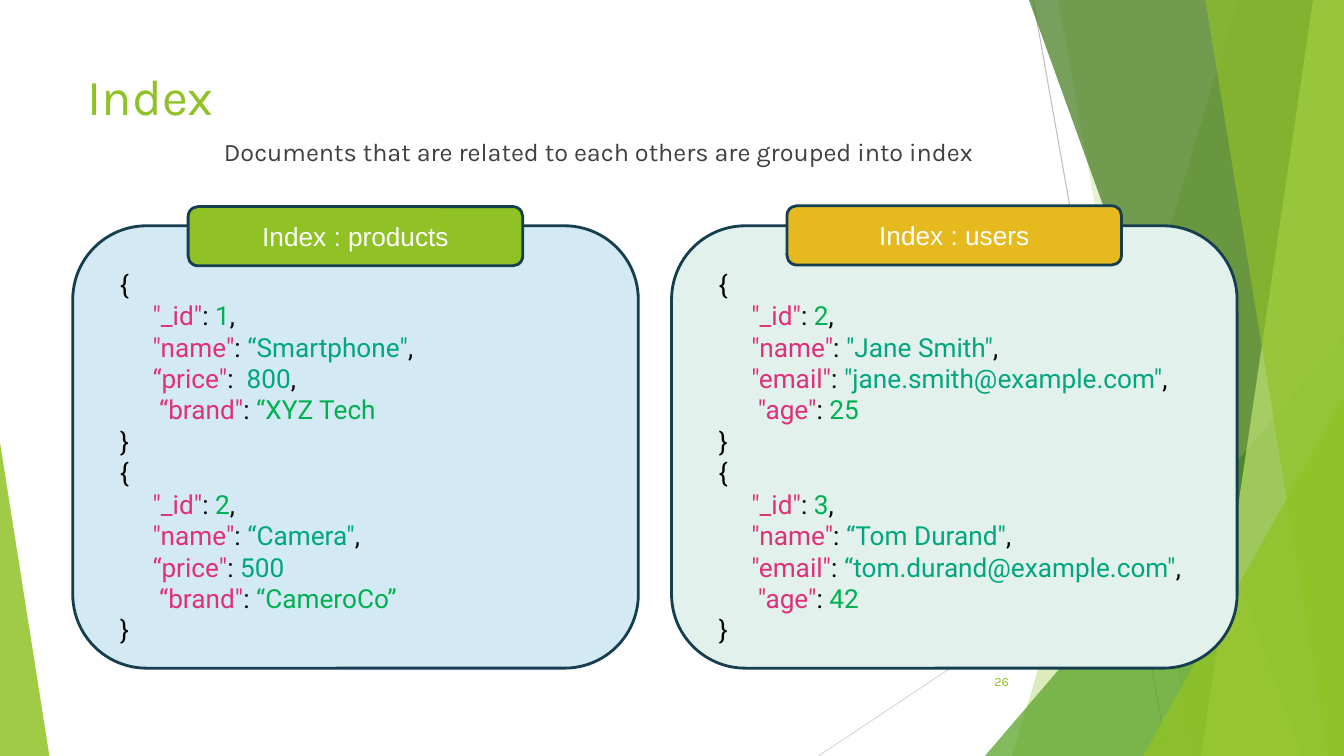
from lxml.etree import SubElement
from pptx import Presentation
from pptx.dml.color import RGBColor
from pptx.enum.shapes import MSO_CONNECTOR, MSO_SHAPE
from pptx.enum.text import MSO_ANCHOR, PP_ALIGN
from pptx.oxml.ns import qn
from pptx.util import Pt

GREEN = RGBColor(0x90, 0xC2, 0x26)
MID_GREEN = RGBColor(0x54, 0xA0, 0x21)
DARK_GREEN = RGBColor(0x3F, 0x78, 0x19)
PALE_GREEN = RGBColor(0xC0, 0xE4, 0x74)
GOLD = RGBColor(0xE6, 0xB9, 0x1E)
NAVY = RGBColor(0x15, 0x3E, 0x4E)
LIGHT_BLUE = RGBColor(0xD3, 0xE9, 0xF3)
LIGHT_MINT = RGBColor(0xE2, 0xF1, 0xEC)
GRAY = RGBColor(0x40, 0x40, 0x40)
LINE_GRAY = RGBColor(0xBF, 0xBF, 0xBF)
LIGHT_GRAY = RGBColor(0xD9, 0xD9, 0xD9)
BLACK = RGBColor(0, 0, 0)
WHITE = RGBColor(0xFF, 0xFF, 0xFF)
KEY_PINK = RGBColor(0xDF, 0x30, 0x79)
VALUE_GREEN = RGBColor(0x00, 0xB0, 0x50)
VALUE_TEAL = RGBColor(0x00, 0xA6, 0x7D)

W, H = 960, 540

prs = Presentation()
prs.slide_width, prs.slide_height = Pt(W), Pt(H)
s = prs.slides.add_slide(prs.slide_layouts[5])


def set_text(sp, text, size, font, color, align=PP_ALIGN.LEFT, anchor=MSO_ANCHOR.TOP, inset=9.4):
    tf = sp.text_frame
    tf.word_wrap = True
    tf.vertical_anchor = anchor
    tf.margin_left = tf.margin_right = Pt(9.4)
    tf.margin_top = tf.margin_bottom = Pt(inset)
    p = tf.paragraphs[0]
    p.text = text
    p.alignment = align
    p.font.size, p.font.name, p.font.color.rgb = Pt(size), font, color


def add_panel(left, top, width, height, fill):
    sp = s.shapes.add_shape(MSO_SHAPE.ROUNDED_RECTANGLE, Pt(left), Pt(top), Pt(width), Pt(height))
    sp.shadow.inherit = False
    sp.fill.solid()
    sp.fill.fore_color.rgb = fill
    sp.line.color.rgb = NAVY
    sp.line.width = Pt(2)
    return sp


# Thin background lines
for x1, y1, x2, y2, color in [(738, 0, 834, H, LINE_GRAY), (W, 290, 584.6, H, LIGHT_GRAY)]:
    line = s.shapes.add_connector(MSO_CONNECTOR.STRAIGHT, Pt(x1), Pt(y1), Pt(x2), Pt(y2))
    line.line.color.rgb = color
    line.line.width = Pt(0.75)
    SubElement(line._element.spPr, qn("a:effectLst"))

# Translucent facets: (top x, bottom x) bands reach the right edge,
# (left, top, width, apex) triangles stand on the bottom edge
facets = [
    ((884, 723), GREEN, 30),
    ((756, 852), GREEN, 20),
    ((703.5, 240, 256.5, 1), MID_GREEN, 72),
    ((735, 929.5), DARK_GREEN, 70),
    ((938, 858), PALE_GREEN, 70),
    ((861, 949), GREEN, 65),
    ((816.5, 283, 143.5, 1), GREEN, 80),
    ((0, 316, 35.3, 0), GREEN, 85),
]
for geometry, color, opacity in facets:
    if len(geometry) == 2:
        top_x, bottom_x = geometry
        builder = s.shapes.build_freeform(top_x, 0, scale=Pt(1))
        builder.add_line_segments([(W, 0), (W, H), (bottom_x, H)], close=True)
        sp = builder.convert_to_shape()
    else:
        left, top, width, apex = geometry
        sp = s.shapes.add_shape(MSO_SHAPE.ISOSCELES_TRIANGLE, Pt(left), Pt(top), Pt(width), Pt(H - top))
        sp.adjustments[0] = apex
    sp.shadow.inherit = False
    sp.line.fill.background()
    sp.fill.solid()
    sp.fill.fore_color.rgb = color
    rgb = sp._element.spPr.find(qn("a:solidFill"))[0]
    SubElement(rgb, qn("a:alpha")).set("val", str(opacity * 1000))

# Title, subtitle and slide number
title = s.shapes.title
title.left, title.top, title.width, title.height = Pt(53.3), Pt(48.2), Pt(677), Pt(51)
set_text(title, "Index", 36, "Karla", GREEN, anchor=MSO_ANCHOR.BOTTOM)
subtitle = s.shapes.add_textbox(Pt(150.5), Pt(87.8), Pt(563), Pt(44))
set_text(subtitle, "Documents that are related to each others are grouped into index", 18, "Karla", GRAY)
number = s.shapes.add_textbox(Pt(676), Pt(476), Pt(54), Pt(29))
set_text(number, "26", 9, "Karla", GREEN, align=PP_ALIGN.RIGHT)

# Index panels: each document is a list of (key, value, line end)
products = [
    [('"_id"', "1", ","), ('"name"', '“Smartphone"', ","), ('“price"', " 800", ","), ('“brand"', "“XYZ Tech", "")],
    [('"_id"', "2", ","), ('"name"', '“Camera"', ","), ('“price"', "500", ""), ('“brand"', "“CameroCo”", "")],
]
users = [
    [('"_id"', "2", ","), ('"name"', '"Jane Smith"', ","),
     ('"email"', '"jane.smith@example.com"', ","), ('"age"', "25", "")],
    [('"_id"', "3", ","), ('"name"', '“Tom Durand"', ","),
     ('"email"', '“tom.durand@example.com"', ","), ('"age"', "42", "")],
]
panels = [
    (52, 147.6, "Index : products", GREEN, LIGHT_BLUE, products),
    (479.7, 147, "Index : users", GOLD, LIGHT_MINT, users),
]
for left, label_top, label, label_fill, panel_fill, documents in panels:
    add_panel(left, 161.3, 404, 316, panel_fill)

    # JSON code
    lines = []
    for fields in documents:
        lines.append([("{", BLACK)])
        for i, (key, value, end) in enumerate(fields):
            indent = "      " if i == len(fields) - 1 else "     "
            plain = key.strip('“"') in ("_id", "brand", "age")
            lines.append([(indent, BLACK), (key, KEY_PINK), (": ", BLACK),
                          (value, VALUE_GREEN if plain else VALUE_TEAL), (end, BLACK)])
        lines.append([("}", BLACK)])
    tf = s.shapes.add_textbox(Pt(left + 24.3), Pt(186.5), Pt(356), Pt(304)).text_frame
    tf.word_wrap = True
    tf.margin_left = tf.margin_right = Pt(9.4)
    tf.margin_top = tf.margin_bottom = Pt(5)
    for i, runs in enumerate(lines):
        p = tf.paragraphs[0] if i == 0 else tf.add_paragraph()
        p.font.size, p.font.name = Pt(18.7), "Roboto"
        for text, color in runs:
            if text:
                r = p.add_run()
                r.text = text
                r.font.color.rgb = color

    # Index name
    sp = add_panel(left + 82.4, label_top, 239, 42.3, label_fill)
    set_text(sp, label, 18.7, "Arial", WHITE, PP_ALIGN.CENTER, MSO_ANCHOR.MIDDLE, inset=5)

prs.save("out.pptx")
